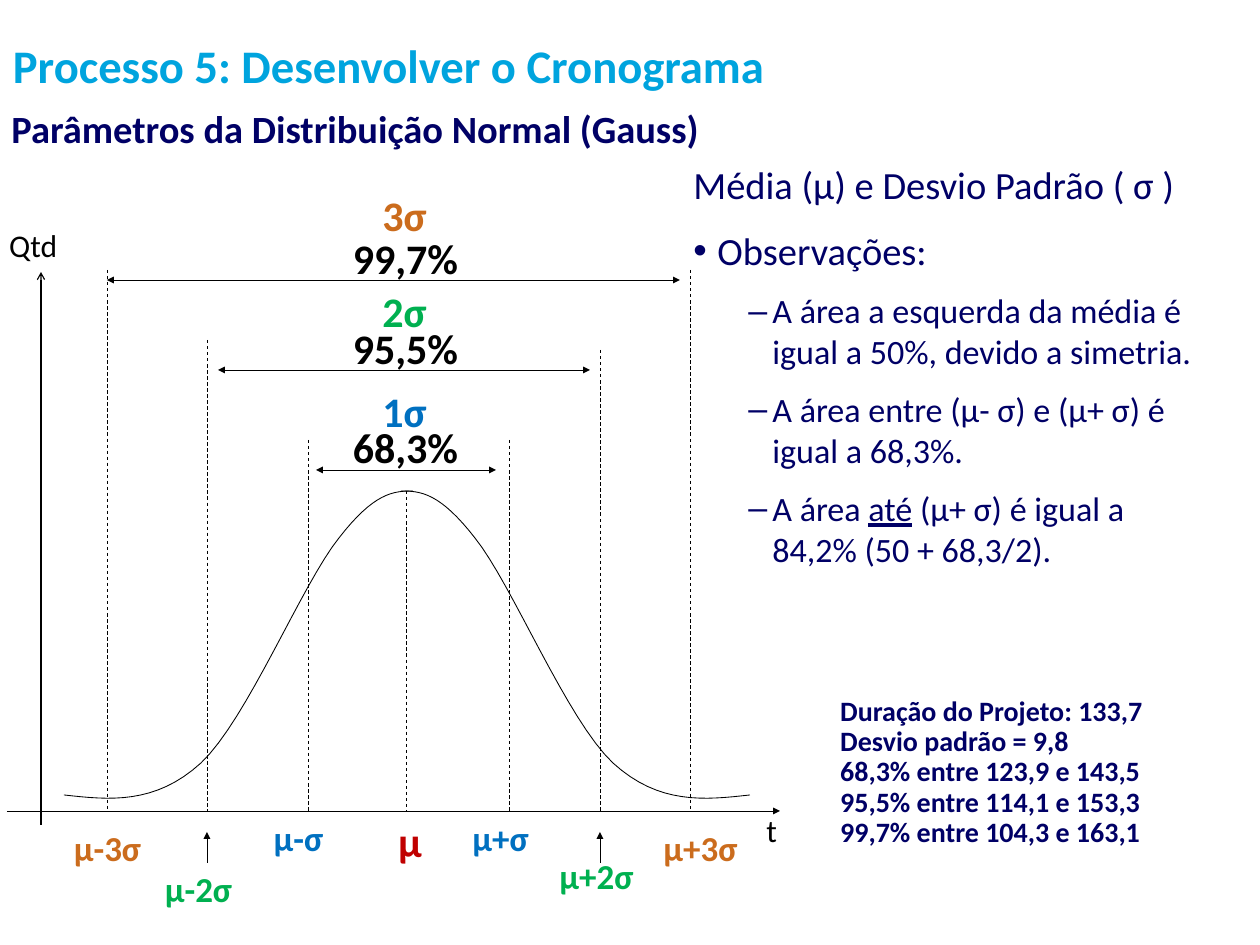
import pptx
import pptx.util
import pptx.dml.color
import pptx.enum.dml
import pptx.enum.shapes
import pptx.enum.text
import pptx.oxml
import pptx.oxml.ns

PX = 914400 // 84
NAVY, CYAN, BLACK, RED = "000066", "00A4DE", "000000", "C00000"
BLUE, GREEN, BROWN = "0070C0", "00B050", "CB6C1D"
ALIGN = pptx.enum.text.PP_ALIGN
ANCHOR = pptx.enum.text.MSO_ANCHOR
NS = pptx.oxml.ns.nsdecls("a")


def px(*nums):
    return [pptx.util.Emu(n * PX) for n in nums]


def rgb(text):
    return pptx.dml.color.RGBColor.from_string(text)


def style(item, form):
    for name, value in form.items():
        setattr(item, name, value)


def add_xml(parent, text):
    parent.append(pptx.oxml.parse_xml(text))


def ink(font, size, color, bold=False):
    style(font, {"name": "Calibri", "size": pptx.util.Pt(size), "bold": bold})
    font.color.rgb = rgb(color)


def label(shapes, box, lines, size, color, bold=True, align=ALIGN.CENTER,
          wrap=False, gap=1.0):
    shape = shapes.add_textbox(*px(*box))
    frame = shape.text_frame
    frame.word_wrap = wrap
    frame.text = lines
    for para in frame.paragraphs:
        style(para, {"alignment": align, "line_spacing": gap})
        ink(para.font, size, color, bold)
    return shape


def pen(line, width=0.75):
    line.color.rgb = rgb(BLACK)
    line.width = pptx.util.Pt(width)


def rule(shapes, ends, width=0.75, dash=False, head=None, tail=None):
    kind = pptx.enum.shapes.MSO_CONNECTOR.STRAIGHT
    wire = shapes.add_connector(kind, *px(*ends))
    pen(wire.line, width)
    if dash:
        wire.line.dash_style = pptx.enum.dml.MSO_LINE.DASH
    for tag, tip in (("headEnd", head), ("tailEnd", tail)):
        if tip:
            add_xml(wire.line._get_or_add_ln(), f'<a:{tag} {NS} type="{tip}"/>')
    add_xml(wire._element.spPr, f"<a:effectLst {NS}/>")


def bezier(a, b, c, d, steps=16):
    for i in range(1, steps + 1):
        t = i / steps
        s = 1 - t
        yield tuple(s**3 * p + 3 * s * s * t * q + 3 * s * t * t * r + t**3 * e
                    for p, q, r, e in zip(a, b, c, d))


def curve(shapes, left, top):
    """Two mirrored halves of the bell."""
    knots = [(64, 615), (109, 620), (155, 625), (201, 583), (247, 540),
             (302, 404), (339, 358), (374, 313), (393, 311), (413, 311)]
    for flip in (False, True):
        pts = [(left + (814 - x if flip else x), top + y) for x, y in knots]
        build = shapes.build_freeform(round(pts[0][0] * PX), round(pts[0][1] * PX))
        for i in range(0, 9, 3):
            build.add_line_segments([(round(x * PX), round(y * PX))
                                     for x, y in bezier(*pts[i:i + 4])], close=False)
        half = build.convert_to_shape()
        half.shadow.inherit = False
        half.fill.background()
        pen(half.line)


def chart(slide, left, top):
    shapes = slide.shapes.add_group_shape().shapes
    base = top + 631
    curve(shapes, left, top)

    # Axes
    rule(shapes, (left + 7, base, left + 780, base), tail="triangle")
    rule(shapes, (left + 41, top + 645, left + 41, top + 92), 1, tail="arrow")
    label(shapes, (left + 1, top + 42, 66, 47), "Qtd", 27, BLACK, False, ALIGN.LEFT)
    label(shapes, (left + 758, top + 627, 28, 47), "t", 27, BLACK, False, ALIGN.LEFT)

    # Dashed marks at the mean and each deviation
    marks = [(107, 90), (207, 160), (308, 260), (406, 311),
             (509, 260), (600, 170), (690, 90)]
    for x, y in marks:
        rule(shapes, (left + x, top + y, left + x, base), dash=True)

    # Names under the axis
    names = [("μ-3σ", 48, 642, 119, BROWN), ("μ-2σ", 139, 683, 119, GREEN),
             ("μ-σ", 239, 632, 119, BLUE), ("μ", 385, 631, 50, RED),
             ("μ+σ", 452, 632, 97, BLUE), ("μ+2σ", 537, 670, 119, GREEN),
             ("μ+3σ", 641, 642, 119, BROWN)]
    for text, x, y, wide, color in names:
        size = 36 if text == "μ" else 30
        label(shapes, (left + x, top + y, wide, 51), text, size, color)
    for x in (207, 600):
        rule(shapes, (left + x, top + 683, left + x, top + 652), tail="triangle")

    # Spans with their share of the area
    spans = [("3σ", BROWN, 5, "99,7%", 48, 100, 107, 680),
             ("2σ", GREEN, 101, "95,5%", 138, 190, 218, 590),
             ("1σ", BLUE, 201, "68,3%", 237, 290, 316, 496)]
    for name, color, high, share, low, y, start, end in spans:
        rule(shapes, (left + start, top + y, left + end, top + y),
             head="triangle", tail="triangle")
        label(shapes, (left + 344, top + low, 123, 60), share, 36, BLACK)
        label(shapes, (left + 360, top + high, 89, 60), name, 36, color)


def place(shape, box):
    style(shape, dict(zip(("left", "top", "width", "height"), px(*box))))
    style(shape.text_frame, {"word_wrap": True, "vertical_anchor": ANCHOR.TOP,
                             "auto_size": pptx.enum.text.MSO_AUTO_SIZE.NONE})
    return shape.text_frame


def heads(slide, left, top):
    # Process name above the slide title
    band = label(slide.shapes, (left, top, 1137, 90),
                 "Processo 5: Desenvolver o Cronograma", 40, CYAN,
                 align=ALIGN.LEFT, wrap=True).text_frame
    side, edge = px(13, 6)
    style(band, {"vertical_anchor": ANCHOR.MIDDLE, "margin_left": side,
                 "margin_right": side, "margin_top": edge, "margin_bottom": edge})
    frame = place(slide.shapes.title, (left + 3, top + 81, 1205, 97))
    frame.text = "Parâmetros da Distribuição Normal (Gauss)"
    frame.paragraphs[0].alignment = ALIGN.LEFT
    ink(frame.paragraphs[0].font, 33, NAVY, True)


def notes(slide, box):
    frame = place(slide.placeholders[1], box)
    rows = [(0, None, ["Média (μ) e Desvio Padrão ( σ )"]),
            (0, "•", ["Observações:"]),
            (1, "–", ["A área a esquerda da média é igual a 50%, devido a simetria."]),
            (1, "–", ["A área entre (μ- σ) e (μ+ σ) é igual a 68,3%."]),
            (1, "–", ["A área ", "até", " (μ+ σ) é igual a 84,2% (50 + 68,3/2)."])]
    for i, (level, mark, parts) in enumerate(rows):
        para = frame.add_paragraph() if i else frame.paragraphs[0]
        size = 29.2 if level else 33
        props = para._p.get_or_add_pPr()
        props.set("marL", str((79 if level else 24) * PX))
        props.set("indent", str(-24 * PX))
        if mark:
            add_xml(props, f'<a:buFont {NS} typeface="Arial"/>')
            add_xml(props, f'<a:buChar {NS} char="{mark}"/>')
        else:
            add_xml(props, f"<a:buNone {NS}/>")
        style(para, {"level": level,
                     "space_before": pptx.util.Pt(size / 2 if i else 0)})
        ink(para.font, size, NAVY)
        for part in parts:
            run = para.add_run()
            run.text = part
            if part == "até":
                run.font.underline = True


def totals(slide, box):
    lines = ["Duração do Projeto: 133,7", "Desvio padrão = 9,8",
             "68,3% entre 123,9 e 143,5", "95,5% entre 114,1 e 153,3",
             "99,7% entre 104,3 e 163,1"]
    label(slide.shapes, box, "\n".join(lines), 24, NAVY,
          align=ALIGN.LEFT, wrap=True, gap=0.9)


def main():
    deck = pptx.Presentation()
    deck.slide_width, deck.slide_height = px(1260, 945)
    slide = deck.slides.add_slide(deck.slide_layouts[1])
    heads(slide, 0, 20)
    notes(slide, (685, 157, 517, 772))
    chart(slide, 0, 180)
    totals(slide, (832, 693, 428, 161))
    deck.save("out.pptx")


if __name__ == "__main__":
    main()
